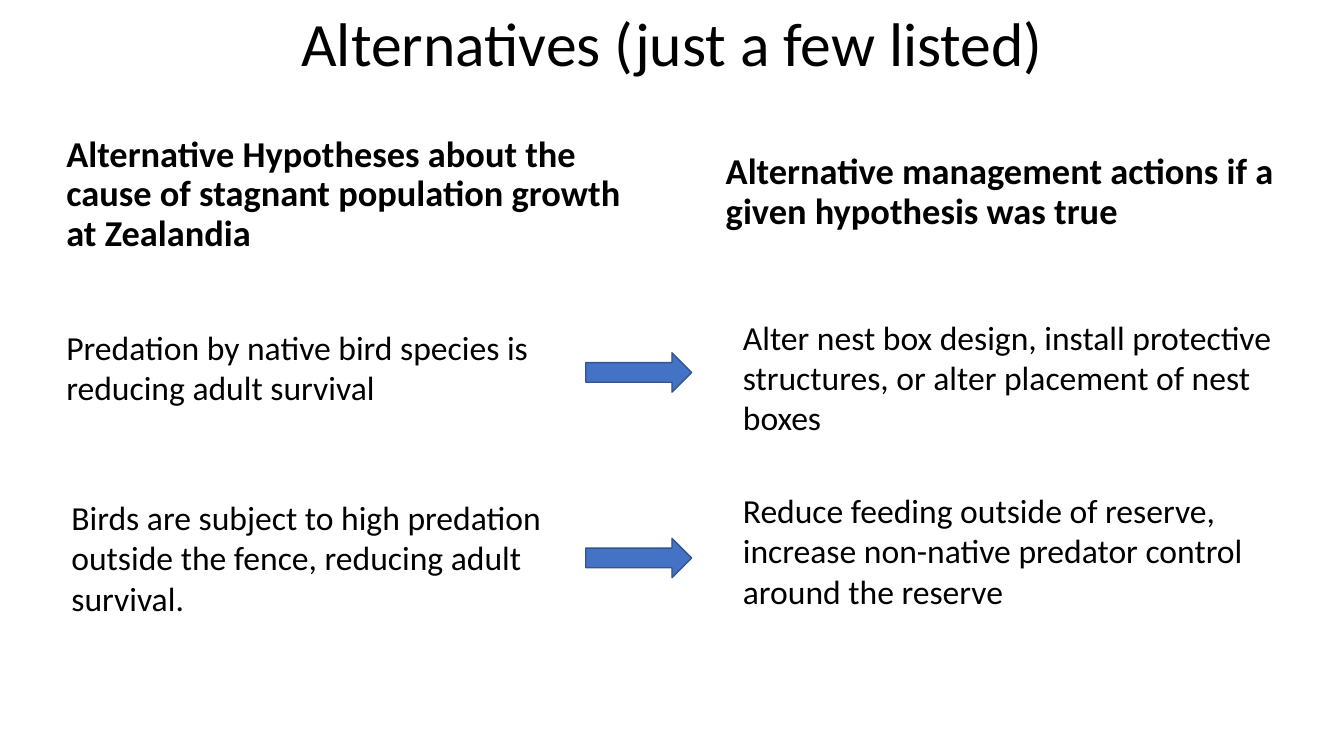
from pptx import Presentation
from pptx.dml.color import RGBColor
from pptx.enum.shapes import MSO_SHAPE
from pptx.enum.text import MSO_ANCHOR as ANCHOR, PP_ALIGN as ALIGN
from pptx.util import Inches, Pt


def color(hex_code):
    """Turn a hex string into a colour."""
    return RGBColor.from_string(hex_code)


def add_text(page, words, place, font, paragraph, anchor):
    """Add a wrapped text box at place (left, top, width, height)."""
    frame = page.shapes.add_textbox(*map(Inches, place)).text_frame
    frame.word_wrap = True
    frame.vertical_anchor = anchor
    para = frame.paragraphs[0]
    for name, value in paragraph.items():
        setattr(para, name, value)
    span = para.add_run()
    span.text = words
    for name, value in {"name": "Calibri", **font}.items():
        setattr(span.font, name, value)
    span.font.color.rgb = color("000000")


deck = Presentation()
deck.slide_width, deck.slide_height = Inches(13.33), Inches(7.5)
page = deck.slides.add_slide(deck.slide_layouts[6])

add_text(page, "Alternatives (just a few listed)", (0.92, 0, 11.5, 0.92),
         {"size": Pt(44)}, {"alignment": ALIGN.CENTER, "line_spacing": 0.9},
         ANCHOR.MIDDLE)

headings = [
    ("Alternative Hypotheses about the cause of stagnant population growth "
     "at Zealandia", (0.56, 1.25, 5.97, 1.32)),
    ("Alternative management actions if a given hypothesis was true",
     (7.1, 1.45, 5.67, 0.9)),
]
for words, place in headings:
    add_text(page, words, place, {"size": Pt(26), "bold": True},
             {"line_spacing": 0.9, "space_before": Pt(10)}, ANCHOR.BOTTOM)

statements = [
    ("Predation by native bird species is reducing adult survival",
     (0.56, 3.19, 5.5, 0.91)),
    ("Birds are subject to high predation outside the fence, reducing adult "
     "survival.", (0.61, 4.88, 5.5, 1.31)),
    ("Alter nest box design, install protective structures, or alter "
     "placement of nest boxes", (7.27, 3.09, 5.5, 1.31)),
    ("Reduce feeding outside of reserve, increase non-native predator "
     "control around the reserve", (7.27, 4.81, 5.5, 1.31)),
]
for words, place in statements:
    add_text(page, words, place, {"size": Pt(24)}, {}, ANCHOR.TOP)

for top in (3.5, 5.34):
    arrow = page.shapes.add_shape(MSO_SHAPE.RIGHT_ARROW, Inches(5.81),
                                  Inches(top), Inches(1.05), Inches(0.39))
    arrow.shadow.inherit = False
    arrow.fill.solid()
    arrow.fill.fore_color.rgb = color("4472C4")
    arrow.line.color.rgb = color("325491")
    arrow.line.width = Pt(1)

deck.save("out.pptx")
